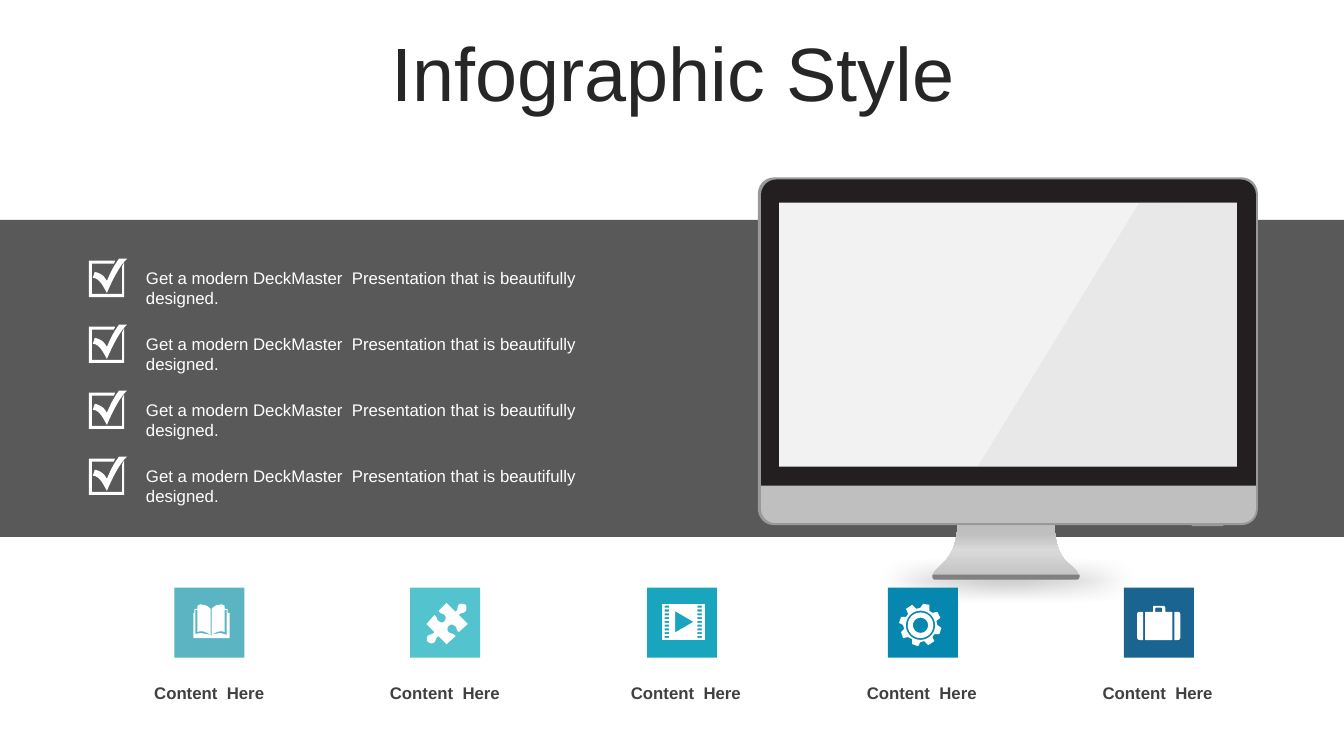
"""Build the infographic slide with a checklist, a desktop monitor and five icon tiles."""
from copy import deepcopy
from dataclasses import dataclass
from math import cos, radians, sin

from lxml.etree import SubElement
from pptx import Presentation
from pptx.dml.color import RGBColor
from pptx.enum.shapes import MSO_SHAPE
from pptx.enum.text import MSO_ANCHOR, PP_ALIGN
from pptx.oxml.ns import qn
from pptx.util import Pt


@dataclass(frozen=True)
class Theme:
    font: str = "Arial"
    title_size: int = 54
    text_size: int = 12
    title: str = "262626"
    label: str = "404040"
    white: str = "FFFFFF"
    band: str = "595959"
    shade: str = "808080"
    edge: str = "999999"
    bezel: str = "231F20"
    metal: str = "BFBFBF"
    shine: str = "D9D9D9"
    screen: str = "F2F2F2"
    tiles: tuple = ("5AB4C1", "53C3CD", "19A5BE", "0587AF", "196491")


theme = Theme()
deck = Presentation()
deck.slide_width, deck.slide_height = Pt(960), Pt(540)
slide = deck.slides.add_slide(deck.slide_layouts[6])


def add_text(text, left, top, width, height, size=theme.text_size, color=theme.white,
             bold=False, align=PP_ALIGN.LEFT, anchor=MSO_ANCHOR.TOP, line_spacing=1.0):
    box = slide.shapes.add_textbox(Pt(left), Pt(top), Pt(width), Pt(height))
    frame = box.text_frame
    frame.word_wrap = True
    frame.vertical_anchor = anchor
    paragraph = frame.paragraphs[0]
    paragraph.alignment = align
    paragraph.line_spacing = line_spacing
    run = paragraph.add_run()
    run.text = text
    run.font.name, run.font.size, run.font.bold = theme.font, Pt(size), bold
    run.font.color.rgb = RGBColor.from_string(color)


def draw(form, color, left, top, width=0, height=0, rounding=()):
    """Draw a preset, or contours in units of 0.72 pt where six numbers are a Bézier curve."""
    if isinstance(form, list):
        pen = None
        for contour in form:
            points = []
            for step in contour:
                if len(step) == 2:
                    points.append(step)
                    continue
                x0, y0 = points[-1]
                x1, y1, x2, y2, x3, y3 = step
                for t in (i / 8 for i in range(1, 9)):
                    a, b, c, d = (1 - t) ** 3, 3 * t * (1 - t) ** 2, 3 * t * t * (1 - t), t ** 3
                    points.append((a * x0 + b * x1 + c * x2 + d * x3,
                                   a * y0 + b * y1 + c * y2 + d * y3))
            start, *rest = [(x * 100, y * 100) for x, y in points]
            if pen:
                pen.move_to(*start)
            else:
                pen = slide.shapes.build_freeform(*start, scale=Pt(0.72) / 100)
            pen.add_line_segments(rest, close=True)
        shape = pen.convert_to_shape(Pt(left), Pt(top))
    else:
        shape = slide.shapes.add_shape(form, Pt(left), Pt(top), Pt(width), Pt(height))
        for index, value in enumerate(rounding):
            shape.adjustments[index] = value
    shape.fill.solid()
    shape.fill.fore_color.rgb = RGBColor.from_string(color)
    shape.line.fill.background()
    shape.shadow.inherit = False
    return shape


draw(MSO_SHAPE.RECTANGLE, theme.band, 0, 157, 960, 226.5)

floor_shadow = draw(MSO_SHAPE.OVAL, theme.shade, 545, 396.7, 349.2, 35.3)
effects = floor_shadow._element.spPr.find(qn("a:effectLst"))
SubElement(effects, qn("a:softEdge"), rad=str(Pt(15)))

stand_outline = [[(131, 35), (121, 24, 121, 0, 121, 0), (25, 0), (25, 0, 25, 23, 14, 35),
                  (4, 46, -12, 55, 16, 55), (130, 55), (158, 55, 142, 46, 131, 35)]]
stand = draw(stand_outline, theme.metal, 666, 374.4)
stand.fill.gradient()
stand.fill.gradient_angle = 90
stops = stand._element.spPr.find(qn("a:gradFill")).find(qn("a:gsLst"))
stops.extend([deepcopy(stop) for stop in stops])
stand_tones = ((0, theme.metal), (0.53, theme.shine), (0.83, theme.metal), (1, theme.metal))
for stop, (position, tone) in zip(stand.fill.gradient_stops, stand_tones):
    stop.position = position
    stop.color.rgb = RGBColor.from_string(tone)

half_round = MSO_SHAPE.ROUND_2_SAME_RECTANGLE
monitor_parts = (
    (MSO_SHAPE.ROUNDED_RECTANGLE, theme.edge, 541.4, 126.7, 357.1, 248.4, (0.046,)),
    (half_round, theme.edge, 851, 373.7, 23, 2.2, (0, 0.5)),
    (half_round, theme.bezel, 543.6, 128.2, 353.5, 218.8, (0.05, 0)),
    (half_round, theme.shade, 666, 410.4, 105.1, 3.6, (0, 0.5)),
    (half_round, theme.metal, 543.6, 347, 353.5, 26.6, (0, 0.38)),
    (MSO_SHAPE.RECTANGLE, theme.screen, 556.6, 144.7, 326.9, 188.6),
)
for part in monitor_parts:
    draw(*part)
glare = draw([[(161, 0), (257, 1), (257, 263), (0, 263)]], theme.edge, 698.4, 144)
glare_color = glare._element.spPr.find(qn("a:solidFill"))[0]
SubElement(glare_color, qn("a:alpha"), val="10000")

add_text("Infographic Style", 25.2, 26.6, 911.5, 56.9, size=theme.title_size, color=theme.title,
         align=PP_ALIGN.CENTER, anchor=MSO_ANCHOR.MIDDLE, line_spacing=0.9)

checkbox = [
    [(0, 2), (26, 2), (26, 3, 25, 4, 25, 5), (3, 5), (3, 35), (33, 35), (33, 9),
     (33, 7, 34, 6, 35, 4), (35, 38), (0, 38)],
    [(38, 0), (31, 6, 23, 22, 18, 34), (15, 29, 11, 19, 4, 19), (6, 13),
     (13, 15, 15, 17, 18, 22), (22, 13, 23, 10, 30, 0)],
]
for row in range(4):
    row_top = 184.8 + row * 47.1
    draw(checkbox, theme.white, 63.4, row_top)
    add_text("Get a modern DeckMaster  Presentation that is beautifully designed.",
             97.2, row_top + 3, 371.5, 21.6)

book = [[
    (17, 30), (17, 30, 18, 31, 18, 30), (24, 28, 27, 27, 33, 30), (33, 5), (31, 5), (31, 27),
    (27, 25, 22, 27, 18, 30), (18, 4), (21, 1, 23, 0, 26, 0), (28, -1, 29, 0, 31, 1), (31, 4),
    (34, 4), (34, 8), (36, 8), (36, 33), (0, 33), (0, 8), (1, 8), (1, 4), (4, 4), (4, 1),
    (6, 0, 7, -1, 9, 0), (12, 0, 14, 1, 17, 4), (17, 30), (13, 27, 8, 25, 4, 27), (4, 5),
    (2, 5), (2, 29), (8, 27, 12, 29, 17, 30),
]]
puzzle = [[
    (39, 2), (40, 4, 40, 6, 39, 8), (37, 11, 35, 9, 32, 12), (41, 21), (32, 29),
    (29, 27, 31, 24, 28, 23), (26, 21, 24, 21, 22, 23), (21, 24, 20, 27, 22, 29),
    (25, 31, 26, 30, 29, 33), (20, 41), (12, 33), (9, 35, 10, 36, 8, 39), (6, 41, 3, 40, 2, 39),
    (0, 38, 0, 35, 1, 33), (3, 31, 6, 32, 8, 29), (0, 21), (8, 12), (11, 14, 10, 17, 12, 18),
    (14, 20, 17, 20, 18, 18), (19, 17, 20, 14, 18, 12), (15, 10, 14, 11, 12, 8), (20, 0),
    (29, 9), (32, 6, 30, 5, 32, 2), (34, 0, 37, 1, 39, 2),
]]
film = [[(0, 0), (42.5, 0), (42.5, 35.5), (0, 35.5)], [(13, 7), (13, 28), (31, 17.5)]]
for x in (2.5, 35):
    for y in (1.5 + hole * 3.75 for hole in range(9)):
        film.append([(x, y), (x + 4.5, y), (x + 4.5, y + 2), (x, y + 2)])
gear = [[
    (30, 1), (30, 7), (33, 9), (38, 8), (41, 14), (37, 17), (38, 21), (42, 24), (40, 30), (35, 30),
    (33, 33), (35, 37), (29, 41), (25, 37), (21, 38), (19, 42), (13, 40), (13, 35), (9, 33),
    (4, 34), (2, 28), (5, 25), (4, 21), (0, 19), (2, 13), (7, 13), (9, 10), (7, 5), (13, 1),
    (17, 5), (21, 4), (24, 0),
]]
for radius in (14.5, 12.7, 7.5):
    gear.append([(21.3 + radius * cos(radians(angle)), 21.3 + radius * sin(radians(angle)))
                 for angle in range(0, 360, 10)])
briefcase = [
    [(37, 6), (40, 6), (42, 6, 43, 7, 43, 9), (43, 31), (43, 33, 42, 34, 40, 34), (37, 34)],
    [(3, 6), (6, 6), (6, 34), (3, 34), (1, 34, 0, 33, 0, 31), (0, 9), (0, 7, 1, 6, 3, 6)],
    [(19, 2), (18, 2, 18, 3, 18, 4), (18, 6), (25, 6), (25, 4), (25, 3, 25, 2, 24, 2)],
    [(17, 0), (26, 0), (27, 0, 28, 1, 28, 2), (28, 6), (35, 6), (35, 34), (8, 34), (8, 6),
     (16, 6), (16, 2), (16, 1, 16, 0, 17, 0)],
]

columns = (
    (124.6, 92.2, book, 138.2, 432),
    (293, 260.6, puzzle, 304.6, 430.6),
    (462.2, 432.7, film, 473, 431.6),
    (634.3, 601.2, gear, 642.2, 431.3),
    (802.8, 769.7, briefcase, 812.2, 432.7),
)
for tile_color, (tile_left, label_left, icon, icon_left, icon_top) in zip(theme.tiles, columns):
    draw(MSO_SHAPE.RECTANGLE, tile_color, tile_left, 419.8, 50, 50)
    draw(icon, theme.white, icon_left, icon_top)
    add_text("Content  Here", label_left, 483.8, 114.5, 21.6, color=theme.label, bold=True,
             align=PP_ALIGN.CENTER)

deck.save("out.pptx")
